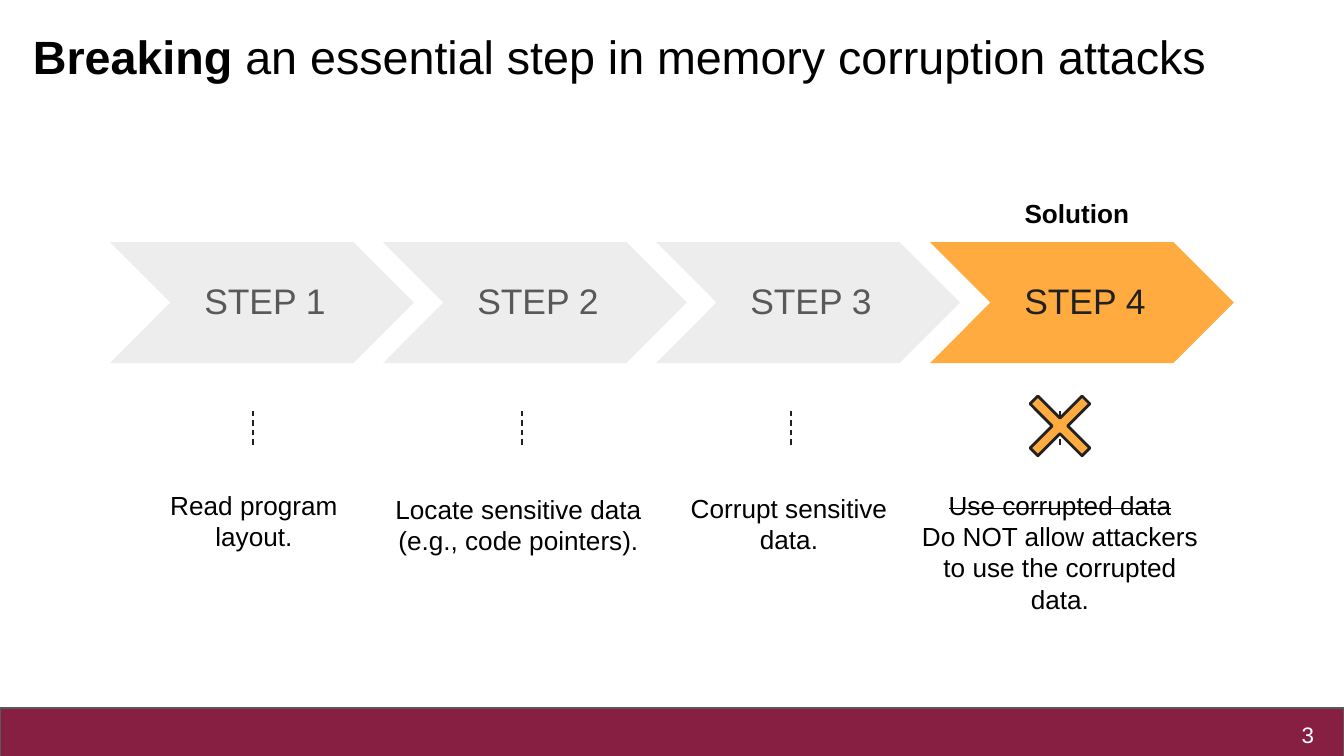
import dataclasses

import pptx
import pptx.dml.color
import pptx.enum.dml
import pptx.enum.shapes
import pptx.enum.text
import pptx.oxml
import pptx.oxml.ns
import pptx.util

SHAPES = pptx.enum.shapes.MSO_SHAPE
ALIGN = pptx.enum.text.PP_ALIGN
ANCHOR = pptx.enum.text.MSO_ANCHOR


@dataclasses.dataclass(frozen=True)
class Theme:
    font: str = "Arial"
    black: str = "000000"
    white: str = "FFFFFF"
    ink: str = "212121"
    muted: str = "595959"
    pale: str = "EDEDED"
    accent: str = "FFAB40"
    maroon: str = "861F41"
    title_size: int = 25
    step_size: int = 19
    body_size: int = 14
    number_size: int = 12


def px(length):
    return pptx.util.Emu(round(length * 914400 / 134.4))


def rgb(value):
    return pptx.dml.color.RGBColor.from_string(value)


class SlideBuilder:
    """Draws styled elements on the current slide, measured in px."""

    def __init__(self, slide, theme):
        self.slide = slide
        self.theme = theme

    def fill_frame(self, frame, text, size, color, align=ALIGN.CENTER,
                   anchor=ANCHOR.TOP, insets=(5, 5, 5, 5), bold=False):
        frame.word_wrap = True
        frame.vertical_anchor = anchor
        (frame.margin_left, frame.margin_top,
         frame.margin_right, frame.margin_bottom) = map(px, insets)
        frame.text = text
        for paragraph in frame.paragraphs:
            paragraph.alignment = align
            for run in paragraph.runs:
                self.style_run(run, size, color, bold)
        return frame.paragraphs

    def style_run(self, run, size, color, bold):
        run.font.name = self.theme.font
        run.font.size = pptx.util.Pt(size)
        run.font.color.rgb = rgb(color)
        run.font.bold = bold

    def text(self, box, text, size, color, **options):
        label = self.slide.shapes.add_textbox(*map(px, box))
        return self.fill_frame(label.text_frame, text, size, color, **options)

    def shape(self, kind, box, fill, line=None, weight=0.75):
        drawn = self.slide.shapes.add_shape(kind, *map(px, box))
        drawn.shadow.inherit = False
        drawn.fill.solid()
        drawn.fill.fore_color.rgb = rgb(fill)
        if line:
            drawn.line.color.rgb = rgb(line)
            drawn.line.width = pptx.util.Pt(weight)
        else:
            drawn.line.fill.background()
        return drawn

    def step(self, box, text, fill, color):
        chevron = self.shape(SHAPES.CHEVRON, box, fill)
        chevron.adjustments[0] = 0.5
        label = self.fill_frame(chevron.text_frame, text, self.theme.step_size,
                                color, anchor=ANCHOR.MIDDLE, insets=(10, 4, 4, 4))
        label[0].line_spacing = 0.9

    def dashed_line(self, x, start, end):
        tick = self.slide.shapes.add_connector(
            pptx.enum.shapes.MSO_CONNECTOR.STRAIGHT,
            px(x), px(start), px(x), px(end))
        tick.line.color.rgb = rgb(self.theme.ink)
        tick.line.width = pptx.util.Pt(0.75)
        tick.line.dash_style = pptx.enum.dml.MSO_LINE.DASH
        properties = tick._element.spPr
        properties.append(pptx.oxml.parse_xml(
            "<a:effectLst %s/>" % pptx.oxml.ns.nsdecls("a")))

    def cross(self, box):
        mark = self.shape(SHAPES.MATH_MULTIPLY, box, self.theme.accent,
                          self.theme.ink, 1.5)
        mark.adjustments[0] = 0.11

    def title(self, box, lead, rest):
        size, color = self.theme.title_size, self.theme.black
        heading = self.text(box, lead, size, color, align=ALIGN.LEFT,
                            insets=(13, 13, 13, 13), bold=True)[0]
        remainder = heading.add_run()
        remainder.text = rest
        self.style_run(remainder, size, color, False)


def main():
    theme = Theme()
    deck = pptx.Presentation()
    deck.slide_width, deck.slide_height = px(1344), px(756)
    builder = SlideBuilder(deck.slides.add_slide(deck.slide_layouts[6]), theme)

    builder.shape(SHAPES.RECTANGLE, (0, 708, 1344, 50), theme.maroon, theme.muted)
    builder.title((20, 15, 1306, 85), "Breaking",
                  " an essential step in memory corruption attacks")

    captions = [
        ((153, 484, 202, 73), "Read program layout."),
        ((390, 488, 257, 73), "Locate sensitive data\n(e.g., code pointers)."),
        ((675, 487, 228, 74), "Corrupt sensitive data."),
        ((915, 484, 290, 81), "Use corrupted data\n"
         "Do NOT allow attackers to use the corrupted data."),
    ]
    for index, (box, caption) in enumerate(captions):
        solved = index == len(captions) - 1
        builder.step((110 + 820 * index // 3, 242, 304, 121), f"STEP {index + 1}",
                     theme.accent if solved else theme.pale,
                     theme.ink if solved else theme.muted)
        builder.dashed_line(253 + 269 * index, 445, 407)
        explanation = builder.text(box, caption, theme.body_size, theme.black)
        if solved:
            attack = explanation[0].runs[0]
            attack.font._element.set("strike", "sngStrike")

    builder.cross((1010, 376, 100, 100))
    builder.text((946, 192, 262, 39), "Solution", theme.body_size, theme.black,
                 bold=True)
    builder.text((1246, 710, 81, 50), "3", theme.number_size, theme.white,
                 align=ALIGN.RIGHT, anchor=ANCHOR.MIDDLE, insets=(13, 13, 13, 13))
    deck.save("out.pptx")


if __name__ == "__main__":
    main()
